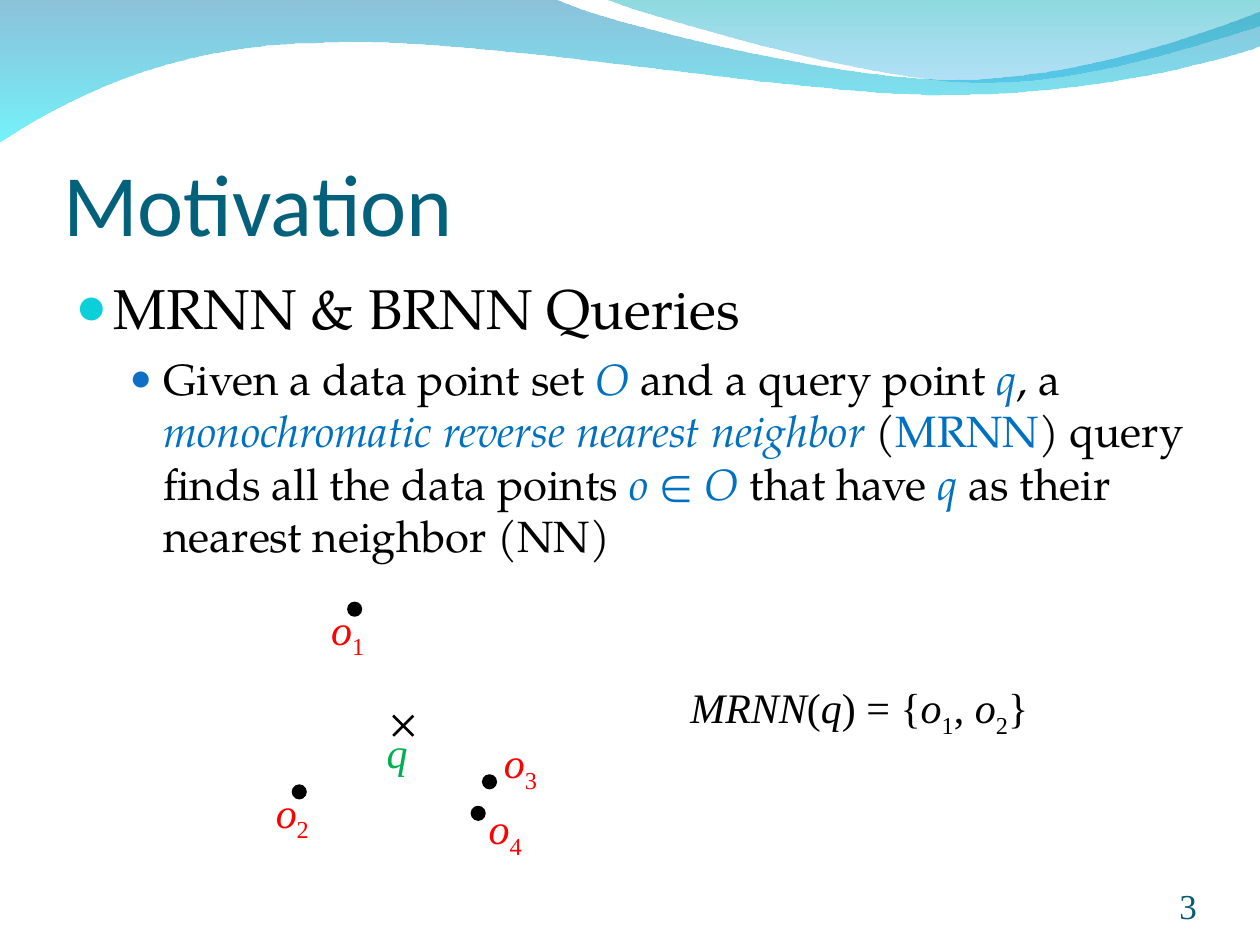
from lxml.etree import SubElement
from pptx import Presentation
from pptx.dml.color import RGBColor as RGB
from pptx.enum.shapes import MSO_CONNECTOR as CONN, MSO_SHAPE as SHAPE
from pptx.enum.text import MSO_ANCHOR as ANCHOR, MSO_AUTO_SIZE as FIT, PP_ALIGN as ALIGN
from pptx.oxml.ns import qn
from pptx.util import Inches, Pt

COLS, ROWS = 100, 75          # slide grid
CELL = Inches(0.1)

BLACK, RED, GREEN = RGB(0, 0, 0), RGB(255, 0, 0), RGB(0, 0xB0, 0x50)
BLUE, TEAL, NUMBER = RGB(0, 0x70, 0xC0), RGB(4, 0x61, 0x7B), RGB(4, 0x5C, 0x75)
BULLET_1, BULLET_2 = RGB(0x0B, 0xD0, 0xD9), RGB(0x0F, 0x6F, 0xC6)
WAVE_BACK = ((RGB(0, 0x79, 0xAF), 45), (RGB(0, 0xEB, 0xF8), 55))
WAVE_FRONT = ((RGB(0, 0xAD, 0xB6), 45), (RGB(0, 0x9B, 0xE5), 30))
SERIF, SANS, BODY = "Times New Roman", "Calibri", "TeX Gyre Pagella"
PAD = (1, 0.5, 1, 0.5)        # usual text insets, in cells


def cells(*values):
    return [round(v * CELL) for v in values]


def add_runs(p, parts, size, font, color=BLACK):
    """A part is (text, flags, colour); flags: i = italic, s = subscript."""
    for text, flags, *tint in parts:
        r = p.add_run()
        r.text = text
        for name, value in dict(size=Pt(size), name=font, italic="i" in flags).items():
            setattr(r.font, name, value)
        r.font.color.rgb = tint[0] if tint else color
        if "s" in flags:
            r.font._element.set("baseline", "-25000")


def format_frame(tf, insets=PAD, anchor=ANCHOR.TOP, wrap=True, fit=FIT.NONE):
    left, top, right, bottom = cells(*insets)
    values = dict(margin_left=left, margin_top=top, margin_right=right, auto_size=fit,
                  margin_bottom=bottom, vertical_anchor=anchor, word_wrap=wrap)
    for name, value in values.items():
        setattr(tf, name, value)
    return tf.paragraphs[0]


def add_label(shapes, box, parts, size=24, color=BLACK, fit=FIT.SHAPE_TO_FIT_TEXT, **frame):
    p = format_frame(shapes.add_textbox(*cells(*box)).text_frame, fit=fit, **frame)
    add_runs(p, parts, size, SERIF, color)
    return p


def add_bullet(p, color, share, left, hang):
    pPr = p._p.get_or_add_pPr()
    pPr.set("marL", str(Inches(left)))
    pPr.set("indent", str(-Inches(hang)))
    clr = SubElement(pPr, qn("a:buClr"))
    SubElement(clr, qn("a:srgbClr"), val=str(color))
    SubElement(pPr, qn("a:buSzPct"), val=str(share * 1000))
    SubElement(pPr, qn("a:buFont"), typeface=SERIF)
    SubElement(pPr, qn("a:buChar"), char="●")


def add_wave(shapes, steps, stops):
    """A step is one point (start or line) or three points (cubic curve)."""
    points = [cells(*point) for step in steps for point in step]
    builder = shapes.build_freeform(*points[0])
    builder.add_line_segments(points[1:], close=True)
    wave = builder.convert_to_shape()

    # join the three points of each curve
    lines = iter(list(wave._element.iter(qn("a:lnTo"))))
    for step in steps[1:]:
        segment = next(lines)
        if len(step) == 3:
            segment.tag = qn("a:cubicBezTo")
            for _ in range(2):
                extra = next(lines)
                segment.append(extra[0])
                extra.getparent().remove(extra)

    wave.shadow.inherit = False
    wave.line.fill.background()
    wave.fill.gradient()
    wave.fill.gradient_angle = 270
    for stop, (color, opacity) in zip(wave.fill.gradient_stops, stops):
        stop.color.rgb = color
        clr = stop._gs.find(qn("a:srgbClr"))
        SubElement(clr, qn("a:alpha"), val=str(opacity * 1000))


def add_header(shapes):
    add_wave(shapes, [
        [(0, -0.1)], [(44, -0.1)],
        [(47.6, 1.7), (66.4, 6.3), (75.8, 6.3)],
        [(85.3, 6.3), (95.8, 2.6), (COLS, 0.9)],
        [(100.1, 3.6)],
        [(98.3, 4.4), (87, 7.6), (74.6, 7.5)],
        [(62.2, 7.5), (38.2, 2.8), (25.7, 3.4)],
        [(12.9, 3.5), (4.6, 8.3), (-0.1, 11.3)]], WAVE_BACK)
    add_wave(shapes, [
        [(47.9, -0.1)],
        [(50.9, 1.1), (68.2, 6.2), (76.9, 6.5)],
        [(85.6, 6.9), (96.1, 3.2), (COLS, 2.1)],
        [(COLS, 0)]], WAVE_FRONT)


def add_title(title, box):
    title.left, title.top, title.width, title.height = cells(*box)
    p = format_frame(title.text_frame, (0, 0.5, 0, 0), ANCHOR.BOTTOM)
    p.alignment = ALIGN.LEFT
    add_runs(p, [("Motivation", "")], 50, SANS, TEAL)


def add_body(shapes, box):
    tf = shapes.add_textbox(*cells(*box)).text_frame
    p = format_frame(tf)
    p.space_before = Pt(8)
    add_bullet(p, BULLET_1, 95, 0.3, 0.3)
    add_runs(p, [("MRNN & BRNN Queries", "")], 32, BODY)

    p = tf.add_paragraph()
    p.level, p.space_before = 1, Pt(6.2)
    add_bullet(p, BULLET_2, 85, 0.7, 0.27)
    add_runs(p, [
        ("Given a data point set ", ""), ("O", "i", BLUE), (" and a query point ", ""),
        ("q", "i", BLUE), (", a ", ""),
        ("monochromatic reverse nearest neighbor ", "i", BLUE),
        ("(", ""), ("MRNN", "", BLUE), (") query finds all the data points ", ""),
        ("o", "i", BLUE), (" ∈ ", "", BLUE), ("O ", "i", BLUE), ("that have ", ""),
        ("q", "i", BLUE), (" as their nearest neighbor (NN)", "")], 25, BODY)


def add_diagram(shapes, left, top):
    """Data points o1 to o4 around the query point q."""
    group = shapes.add_group_shape().shapes
    # dot x, y; label x, y, width
    points = [(6.7, 0.4, 4.4, 0, 8.9), (2.3, 14.9, 0, 14.5, 8.1),
              (17.4, 14.1, 18.1, 10.6, 10.1), (16.5, 16.6, 16.9, 15.8, 10.5)]
    for number, (x, y, lx, ly, width) in enumerate(points, 1):
        dot = group.add_shape(SHAPE.OVAL, *cells(left + x, top + y, 1.1, 1.1))
        dot.shadow.inherit = False
        dot.fill.solid()
        dot.fill.fore_color.rgb = dot.line.color.rgb = BLACK
        dot.line.width = Pt(0.75)
        add_label(group, (left + lx, top + ly, width, 5.6),
                  [("o", "i"), (str(number), "s")], color=RED)

    # cross at q
    x1, x2, y1, y2 = left + 10.3, left + 11.9, top + 9.4, top + 11
    for start, end in ((y1, y2), (y2, y1)):
        line = group.add_connector(CONN.STRAIGHT, *cells(x2, start, x1, end))
        line.line.color.rgb, line.line.width = BLACK, Pt(1.5)
        SubElement(line._element.spPr, qn("a:effectLst"))
    add_label(group, (left + 8.8, top + 9.8, 9.7, 5), [("q", "i")], color=GREEN)


def add_result(shapes, box):
    add_label(shapes, box, [
        ("MRNN", "i"), ("(", ""), ("q", "i"), (") = {", ""), ("o", "i"), ("1", "s"),
        (", ", ""), ("o", "i"), ("2", "s"), ("}", "")], wrap=False)


def add_number(shapes, box):
    p = add_label(shapes, box, [("3", "")], 20, NUMBER, FIT.NONE,
                  insets=(0, 0, 0, 0), anchor=ANCHOR.BOTTOM)
    p.alignment = ALIGN.RIGHT


def main():
    prs = Presentation()
    prs.slide_width, prs.slide_height = cells(COLS, ROWS)
    s = prs.slides.add_slide(prs.slide_layouts[5])
    add_header(s.shapes)
    add_title(s.shapes.title, (5, 7.7, 90, 12.5))
    add_body(s.shapes, (5, 21.2, 95, 51))
    add_number(s.shapes, (86.7, 69.5, 8.3, 4))
    add_diagram(s.shapes, 20.9, 47.4)
    add_result(s.shapes, (53.8, 53.6, 28.8, 5.6))
    prs.save("out.pptx")


if __name__ == "__main__":
    main()
